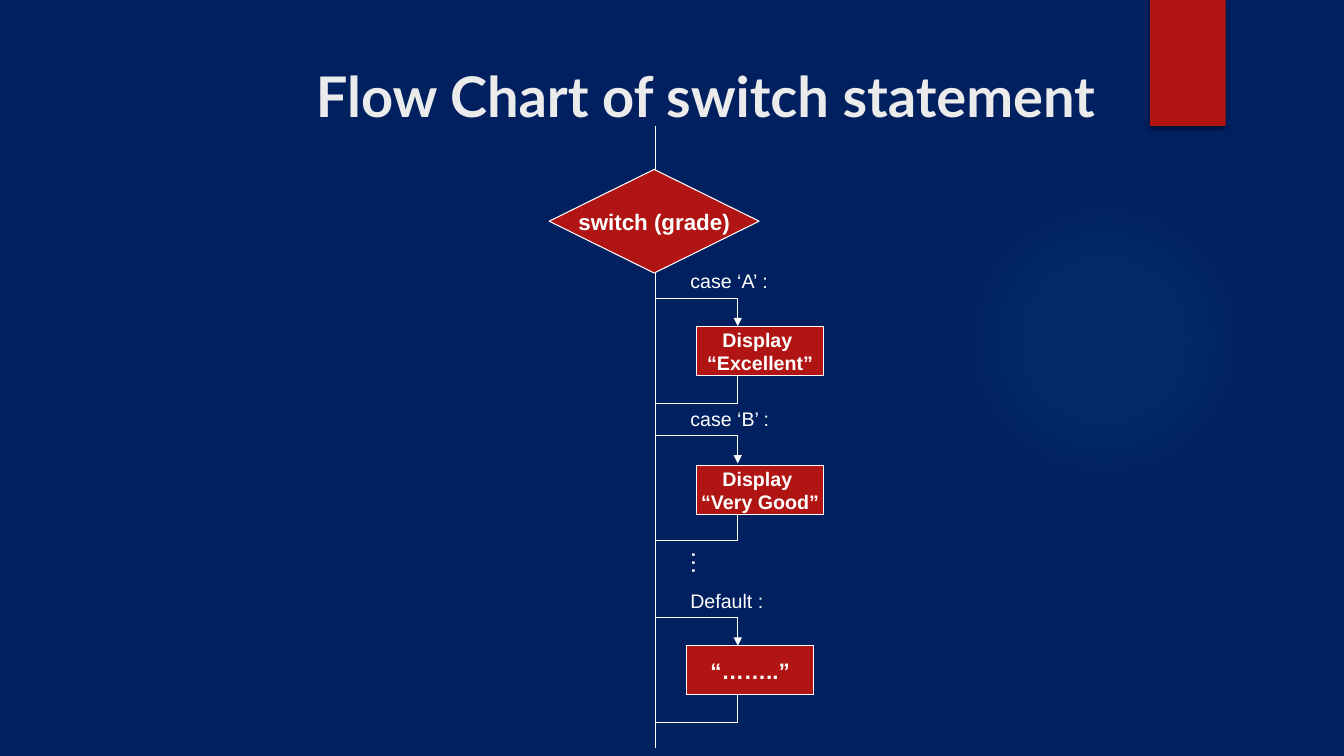
"""Build a slide with the flow chart of a switch statement."""
from lxml import etree
from pptx import Presentation
from pptx.dml.color import RGBColor
from pptx.enum.shapes import MSO_CONNECTOR as CONN, MSO_SHAPE as SHAPE
from pptx.enum.text import MSO_ANCHOR as ANCHOR, PP_ALIGN as ALIGN
from pptx.oxml import parse_xml
from pptx.oxml.ns import nsdecls, qn
from pptx.util import Pt

NAVY = RGBColor(0x00, 0x20, 0x60)
RED = RGBColor(0xB0, 0x15, 0x13)
WHITE = RGBColor(0xFF, 0xFF, 0xFF)
PALE = RGBColor(0xEB, 0xEB, 0xEB)
TRUNK_X, BRANCH_X = 468, 527

prs = Presentation()
prs.slide_width, prs.slide_height = Pt(960), Pt(540)
s = prs.slides.add_slide(prs.slide_layouts[5])
s.background.fill.solid()
s.background.fill.fore_color.rgb = NAVY


def add_line(x1, y1, x2, y2, arrow=False):
    c = s.shapes.add_connector(CONN.STRAIGHT, Pt(x1), Pt(y1), Pt(x2), Pt(y2))
    c.line.color.rgb = WHITE
    c.line.width = Pt(0.75)
    if arrow:
        etree.SubElement(c.line._get_or_add_ln(), qn("a:tailEnd"), type="triangle")
    etree.SubElement(c._element.spPr, qn("a:effectLst"))


def add_text(lines, x, y, w, h, size, shape=None):
    if shape:
        sp = s.shapes.add_shape(shape, Pt(x), Pt(y), Pt(w), Pt(h))
        sp.shadow.inherit = False
        sp.fill.solid()
        sp.fill.fore_color.rgb = RED
        sp.line.color.rgb = WHITE
        sp.line.width = Pt(0.75)
    else:
        sp = s.shapes.add_textbox(Pt(x), Pt(y), Pt(w), Pt(h))
    tf = sp.text_frame
    tf.word_wrap = not shape
    tf.vertical_anchor = ANCHOR.MIDDLE if shape else ANCHOR.TOP
    for i, line in enumerate(lines):
        p = tf.add_paragraph() if i else tf.paragraphs[0]
        p.alignment = ALIGN.CENTER if shape else ALIGN.LEFT
        r = p.add_run()
        r.text = line
        r.font.name = "Arial"
        r.font.size = Pt(size)
        r.font.bold = bool(shape)
        r.font.color.rgb = WHITE
    return sp


glow = s.shapes.add_shape(SHAPE.OVAL, Pt(677.5), Pt(132), Pt(222), Pt(222))
glow.shadow.inherit = False
glow.line.fill.background()
glow.fill.background()
stops = "".join(
    f'<a:gs pos="{pos}000"><a:srgbClr val="50B9C1"><a:alpha val="{alpha}000"/></a:srgbClr></a:gs>'
    for pos, alpha in ((0, 7), (36, 6), (69, 0), (100, 0)))
no_fill = glow._element.spPr.find(qn("a:noFill"))
glow._element.spPr.replace(no_fill, parse_xml(
    f'<a:gradFill {nsdecls("a")}><a:gsLst>{stops}</a:gsLst><a:path path="circle">'
    '<a:fillToRect l="50000" t="50000" r="50000" b="50000"/></a:path></a:gradFill>'))

tab = s.shapes.add_shape(SHAPE.RECTANGLE, Pt(821.5), Pt(0), Pt(54), Pt(90))
tab.shadow.inherit = False
tab.fill.solid()
tab.fill.fore_color.rgb = RED
tab.line.fill.background()
tab._element.spPr.find(qn("a:effectLst")).append(parse_xml(
    f'<a:outerShdw {nsdecls("a")} blurRad="38100" dist="25400" dir="5400000" rotWithShape="0">'
    '<a:srgbClr val="000000"><a:alpha val="45000"/></a:srgbClr></a:outerShdw>'))

add_line(TRUNK_X, 90, TRUNK_X, 133)
add_text(["switch (grade)"], 392.3, 121, 150, 74, 16, SHAPE.FLOWCHART_DECISION)
add_line(TRUNK_X, 195, TRUNK_X, 534)

branches = [
    ("case ‘A’ :", ["Display ", "“Excellent”"], 213, 497.5, 233, 14),
    ("case ‘B’ :", ["Display ", "“Very Good”"], 311, 497.5, 332.5, 14),
    ("Default :", ["“……..”"], 441.3, 490.3, 461, 16),
]
for label, action, y, box_x, box_y, size in branches:
    add_line(TRUNK_X, y, BRANCH_X, y)
    add_line(BRANCH_X, y, BRANCH_X, y + 20, arrow=True)
    add_line(BRANCH_X, y + 55, BRANCH_X, y + 75)
    add_line(TRUNK_X, y + 75, BRANCH_X, y + 75)
    add_text([label], 486, y - 24.2, 78, 24, 14)
    add_text(action, box_x, box_y, 91, 35.3, size, SHAPE.RECTANGLE)

dots = add_text(["…"], 478, 395.3, 46.8, 29, 18)
dots.rotation = 90

title = s.shapes.title
title.left, title.top, title.width, title.height = Pt(168), Pt(10), Pt(672), Pt(116)
tf = title.text_frame
tf.vertical_anchor = ANCHOR.MIDDLE
p = tf.paragraphs[0]
p.alignment = ALIGN.CENTER
r = p.add_run()
r.text = "Flow Chart of switch statement"
r.font.name = "Lato"
r.font.size = Pt(40)
r.font.bold = True
r.font.color.rgb = PALE

prs.save("out.pptx")
